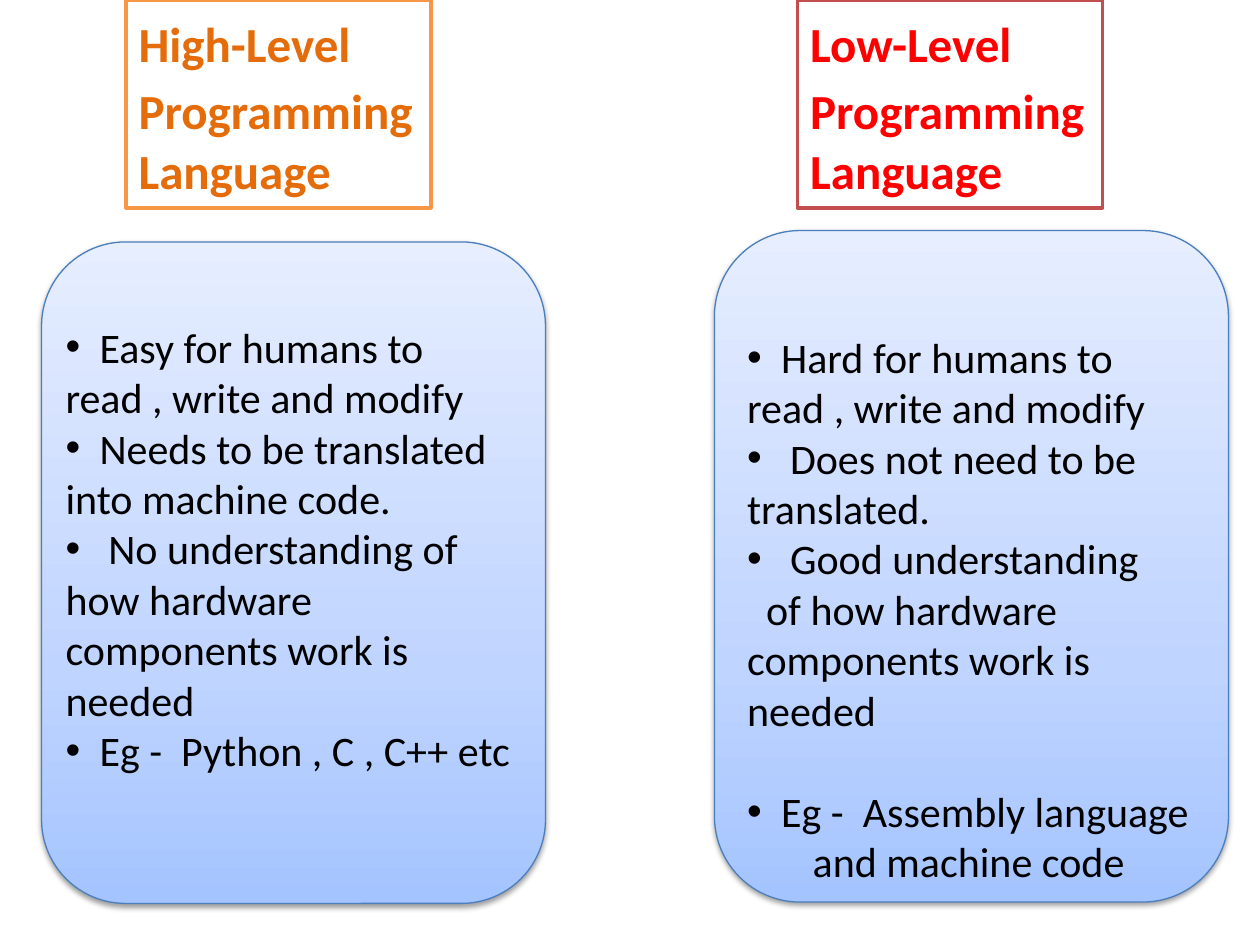
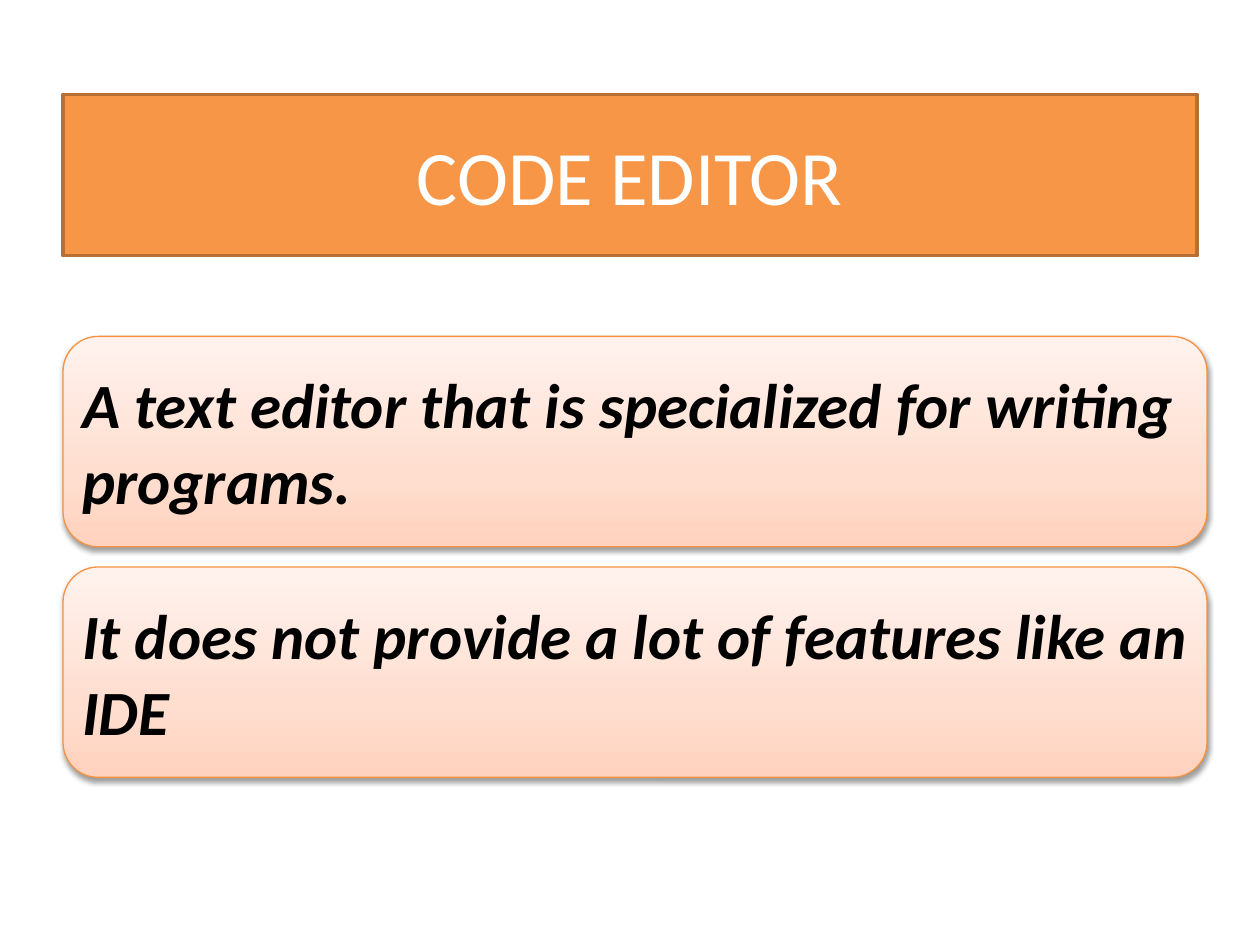
import pptx
import pptx.dml.color
import pptx.enum.shapes
import pptx.enum.text
import pptx.oxml
import pptx.oxml.ns
import pptx.util

Inches, Pt = pptx.util.Inches, pptx.util.Pt
SHAPE = pptx.enum.shapes.MSO_SHAPE
ALIGN = pptx.enum.text.PP_ALIGN
ANCHOR = pptx.enum.text.MSO_ANCHOR
NS = pptx.oxml.ns.nsdecls("a")

FONT = "Calibri"
BLACK, WHITE = "000000", "FFFFFF"
BLUE = {"stops": ("A4C4FF", "BFD4FF", "E6EEFF"), "line": "4B7EBC"}
PEACH = {"stops": ("FFD2BD", "FFDED0", "FFF2ED"), "line": "F69240"}
STOP_POSITIONS = (0, 35, 100)

GAP, WIDE_GAP = 0.27, 0.34
HIGH_LEVEL = [
    {"text": "Easy for humans to read , write and modify", "gap": GAP},
    {"text": "Needs to be translated into machine code.", "gap": GAP},
    {"text": "No understanding of how hardware components work is needed", "gap": WIDE_GAP},
    {"text": "Eg -  Python , C , C++ etc", "gap": GAP},
]
LOW_LEVEL = [
    {"text": "Hard for humans to read , write and modify", "gap": GAP},
    {"text": "Does not need to be translated.", "gap": WIDE_GAP},
    {"text": "Good understanding", "gap": WIDE_GAP},
    {"text": "of how hardware components work is needed", "indent": 0.15},
    {"text": "Eg -  Assembly language", "gap": GAP, "before": 29},
    {"text": "and machine code", "indent": 0.52},
]


def rgb(value):
    return pptx.dml.color.RGBColor.from_string(value)


def apply(obj, values):
    for name, value in values.items():
        setattr(obj, name, value)


def place(sp, box):
    apply(sp, dict(zip(("left", "top", "width", "height"), map(Inches, box))))


def paint(sp, fill, line, width):
    sp.fill.solid()
    sp.fill.fore_color.rgb = rgb(fill)
    sp.line.color.rgb = rgb(line)
    sp.line.width = Pt(width)


def add_run(p, text, size, color, **values):
    r = p.add_run()
    r.text = text
    apply(r.font, {"name": FONT, "size": Pt(size), **values})
    r.font.color.rgb = rgb(color)


def set_frame(tf, anchor, **margins):
    apply(tf, {"word_wrap": True, "vertical_anchor": anchor,
               "auto_size": pptx.enum.text.MSO_AUTO_SIZE.NONE, **margins})


def add_panel(s, box, style):
    sp = s.shapes.add_shape(SHAPE.ROUNDED_RECTANGLE, *map(Inches, box))
    sp.line.color.rgb = rgb(style["line"])
    sp.line.width = Pt(0.75)
    stops = "".join(
        f'<a:gs pos="{pos * 1000}"><a:srgbClr val="{color}"/></a:gs>'
        for pos, color in zip(STOP_POSITIONS, style["stops"]))
    spPr = sp._element.spPr
    spPr.insert(2, pptx.oxml.parse_xml(
        f'<a:gradFill {NS} rotWithShape="1"><a:gsLst>{stops}</a:gsLst>'
        '<a:lin ang="16200000" scaled="0"/></a:gradFill>'))
    spPr.append(pptx.oxml.parse_xml(
        f'<a:effectLst {NS}><a:outerShdw blurRad="40000" dist="20000" dir="5400000" '
        f'rotWithShape="0"><a:srgbClr val="{BLACK}"><a:alpha val="38000"/></a:srgbClr>'
        '</a:outerShdw></a:effectLst>'))
    return sp


def add_heading(sp, box, words, color, line):
    place(sp, box)
    paint(sp, WHITE, line, 2)
    set_frame(sp.text_frame, ANCHOR.TOP)
    p = sp.text_frame.paragraphs[0]
    apply(p, {"space_before": Pt(0), "alignment": ALIGN.LEFT})
    for i, word in enumerate(words):
        if i:
            add_run(p, " ", 32, color, bold=True)
        add_run(p, word, 28, color, bold=True)


def add_list(sp, box, items):
    place(sp, box)
    tf = sp.text_frame
    set_frame(tf, ANCHOR.TOP)
    for i, item in enumerate(items):
        p = tf.add_paragraph() if i else tf.paragraphs[0]
        p.space_before = Pt(item.get("before", 0))
        pPr = p._p.get_or_add_pPr()
        pPr.set("marL", "0")
        pPr.set("indent", str(Inches(item.get("indent", 0))))
        if "gap" in item:
            pPr.append(pptx.oxml.parse_xml(f'<a:buChar {NS} char="•"/>'))
            pPr.append(pptx.oxml.parse_xml(
                f'<a:tabLst {NS}><a:tab pos="{Inches(item["gap"])}" algn="l"/></a:tabLst>'))
            text = "\t" + item["text"]
        else:
            pPr.append(pptx.oxml.parse_xml(f'<a:buNone {NS}/>'))
            text = item["text"]
        add_run(p, text, 24, BLACK)


def add_column(s, heading, body, x, spec_box, list_box, words, color, line, items):
    panel = add_panel(s, spec_box, BLUE)
    heading._element.addprevious(panel._element)
    add_heading(heading, (x, 0, 2.42, 1.65), words, color, line)
    add_list(body, list_box, items)


def comparison_slide(prs):
    s = prs.slides.add_slide(prs.slide_layouts[4])
    title = s.shapes.title._element
    title.getparent().remove(title)
    ph = {sp.placeholder_format.idx: sp for sp in s.placeholders}
    for idx in (10, 11, 12):
        if idx in ph:
            ph[idx]._element.getparent().remove(ph[idx]._element)
    add_column(s, ph[1], ph[2], 1, (0.33, 1.92, 4, 5.25), (0.42, 2.5, 3.83, 3.74),
               ("High-Level", "Programming", "Language"), "E46C0A", "F79646", HIGH_LEVEL)
    add_column(s, ph[3], ph[4], 6.33, (5.67, 1.83, 4.08, 5.33), (5.83, 2.58, 3.75, 4.54),
               ("Low-Level", "Programming", "Language"), "FF0000", "C0504D", LOW_LEVEL)


def add_title(sp, box, text):
    place(sp, box)
    paint(sp, "F79646", "B76F34", 2)
    set_frame(sp.text_frame, ANCHOR.MIDDLE)
    p = sp.text_frame.paragraphs[0]
    p.alignment = ALIGN.CENTER
    add_run(p, text, 44, WHITE)


def add_statements(s, box, pitch, texts):
    x, y, w, h = box
    for i, text in enumerate(texts):
        sp = add_panel(s, (x, y + i * pitch, w, h), PEACH)
        set_frame(sp.text_frame, ANCHOR.MIDDLE,
                  margin_left=Inches(0.07), margin_right=Inches(0.07))
        p = sp.text_frame.paragraphs[0]
        p.alignment = ALIGN.LEFT
        add_run(p, text, 36, BLACK, bold=True, italic=True)


def editor_slide(prs):
    s = prs.slides.add_slide(prs.slide_layouts[5])
    add_title(s.shapes.title, (0.5, 0.75, 9, 1.28), "CODE EDITOR")
    add_statements(s, (0.5, 2.67, 9.08, 1.67), 1.83, (
        "A text editor that is specialized for writing programs.",
        "It does not provide a lot of features like an IDE",
    ))


def main():
    prs = pptx.Presentation()
    apply(prs, {"slide_width": Inches(10), "slide_height": Inches(7.5)})
    comparison_slide(prs)
    editor_slide(prs)
    prs.save("out.pptx")


if __name__ == "__main__":
    main()
